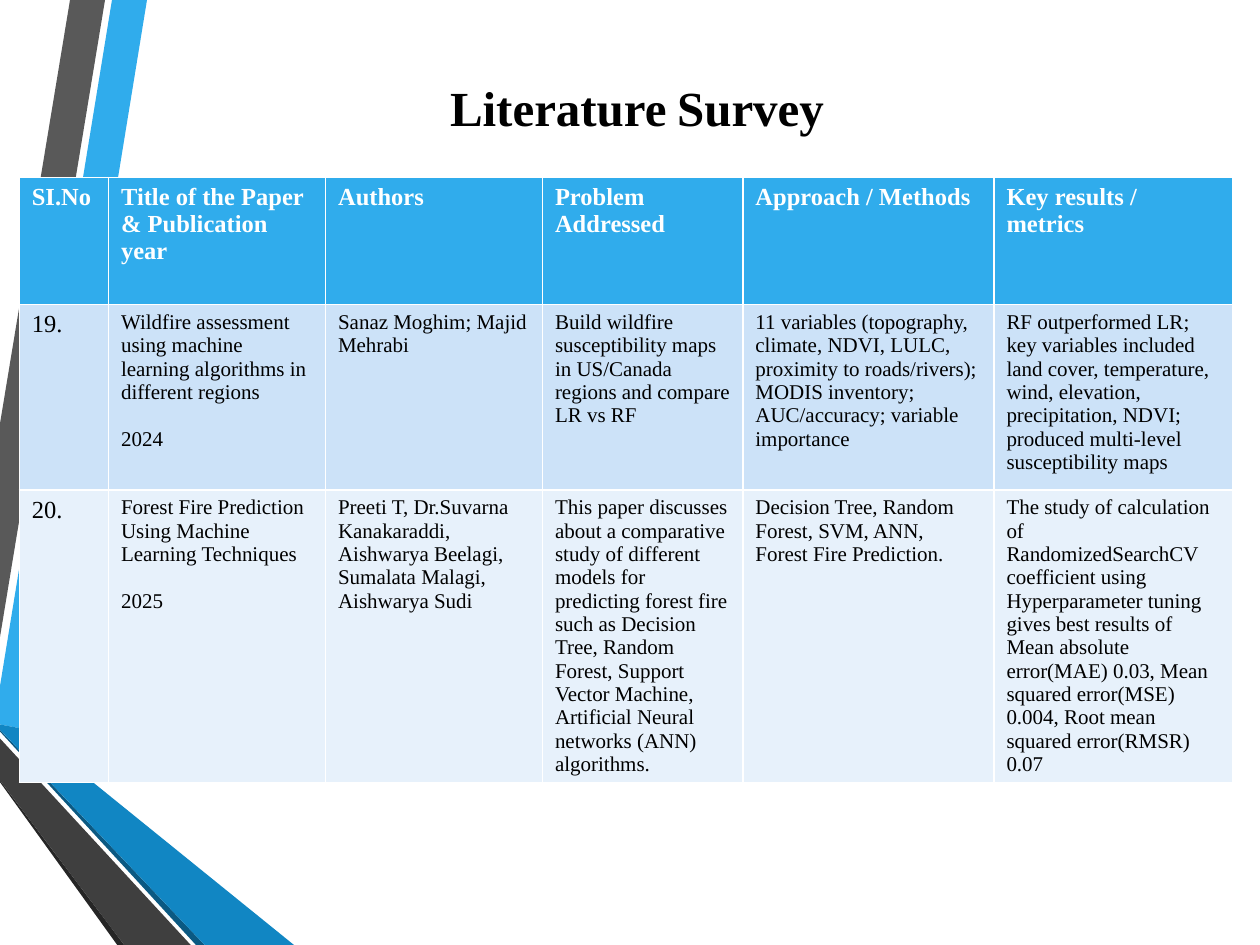
from pptx import Presentation
from pptx.dml.color import RGBColor
from pptx.enum import text
from pptx.util import Pt

FONT = "Times New Roman"
BANDS = [
    ("30ACEC", [(0, 392), (0, 414), (16, 417), (84, 0), (64, 0)]),
    ("595959", [(60, 0), (40, 0), (0, 242), (0, 364)]),
    ("262626", [(0, 446), (0, 447), (67, 540), (71, 540)]),
    ("0B5982", [(0, 417), (0, 418), (112, 540), (117, 540)]),
    ("1186C3", [(0, 417), (117, 540), (168, 540), (16, 417), (0, 414)]),
    ("3F3F3F", [(0, 446), (71, 540), (109, 540), (0, 422)]),
]
WIDTHS = [51, 124, 124, 114.5, 143.5, 136.5]
HEIGHTS = [72.5, 106, 106]
FILLS = ["30ACEC", "CCE2F8", "E7F1FB"]
ROWS = [
    ["SI.No", "Title of the Paper & Publication year", "Authors",
     "Problem Addressed", "Approach / Methods", "Key results / metrics"],
    ["19.",
     "Wildfire assessment using machine learning algorithms in different regions\n2024",
     "Sanaz Moghim; Majid Mehrabi",
     "Build wildfire susceptibility maps in US/Canada regions and compare LR vs RF",
     "11 variables (topography, climate, NDVI, LULC, proximity to roads/rivers); "
     "MODIS inventory; AUC/accuracy; variable importance",
     "RF outperformed LR; key variables included land cover, temperature, wind, "
     "elevation, precipitation, NDVI; produced multi‑level susceptibility maps"],
    ["20.",
     "Forest Fire Prediction Using Machine Learning Techniques\n2025",
     "Preeti T, Dr.Suvarna Kanakaraddi, Aishwarya Beelagi, Sumalata Malagi, "
     "Aishwarya Sudi",
     "This paper discusses about a comparative study of different models for "
     "predicting forest fire such as Decision Tree, Random Forest, Support Vector "
     "Machine, Artificial Neural networks (ANN) algorithms.",
     "Decision Tree, Random Forest, SVM, ANN, Forest Fire Prediction.",
     "The study of calculation of RandomizedSearchCV coefficient using "
     "Hyperparameter tuning gives best results of Mean absolute error(MAE) 0.03, "
     "Mean squared error(MSE) 0.004, Root mean squared error(RMSR) 0.07"],
]


def paint(fill, color):
    fill.solid()
    fill.fore_color.rgb = RGBColor.from_string(color)


def style(run, size, color="000000", bold=False):
    font = run.font
    font.name, font.size, font.bold = FONT, Pt(size), bold
    paint(font.fill, color)


def band(slide, color, points):
    pen = slide.shapes.build_freeform(*points[0], scale=Pt(1))
    pen.add_line_segments(points[1:], close=True)
    shape = pen.convert_to_shape()
    shape.shadow.inherit = False
    paint(shape.fill, color)
    shape.line.fill.background()


def head(slide):
    title = slide.shapes.title
    title.left, title.top = Pt(60.5), Pt(37.5)
    title.width, title.height = Pt(607), Pt(47)
    frame = title.text_frame
    frame.auto_size = text.MSO_AUTO_SIZE.NONE
    frame.vertical_anchor = text.MSO_ANCHOR.MIDDLE
    para = frame.paragraphs[0]
    para.alignment = text.PP_ALIGN.CENTER
    for word, size in [("Literature", 28), (" ", 24), ("Survey", 28)]:
        run = para.add_run()
        run.text = word
        style(run, size, bold=True)


def write(cell, words, row, col):
    paint(cell.fill, FILLS[row])
    cell.text_frame.text = words
    first = row == 0
    size = 14 if first or col == 0 else 12
    for i, para in enumerate(cell.text_frame.paragraphs):
        if i:
            para.space_before = Pt(13.5)
        for run in para.runs:
            style(run, size, "FFFFFF" if first else "000000", first)


def grid(slide):
    table = slide.shapes.add_table(
        len(ROWS), len(WIDTHS), Pt(11), Pt(101.5),
        Pt(sum(WIDTHS)), Pt(sum(HEIGHTS))).table
    for column, width in zip(table.columns, WIDTHS):
        column.width = Pt(width)
    for r, words in enumerate(ROWS):
        table.rows[r].height = Pt(HEIGHTS[r])
        for c, word in enumerate(words):
            write(table.cell(r, c), word, r, c)


def main():
    deck = Presentation()
    deck.slide_width, deck.slide_height = Pt(720), Pt(540)
    slide = deck.slides.add_slide(deck.slide_layouts[5])
    for color, points in BANDS:
        band(slide, color, points)
    head(slide)
    grid(slide)
    deck.save("out.pptx")


if __name__ == "__main__":
    main()
